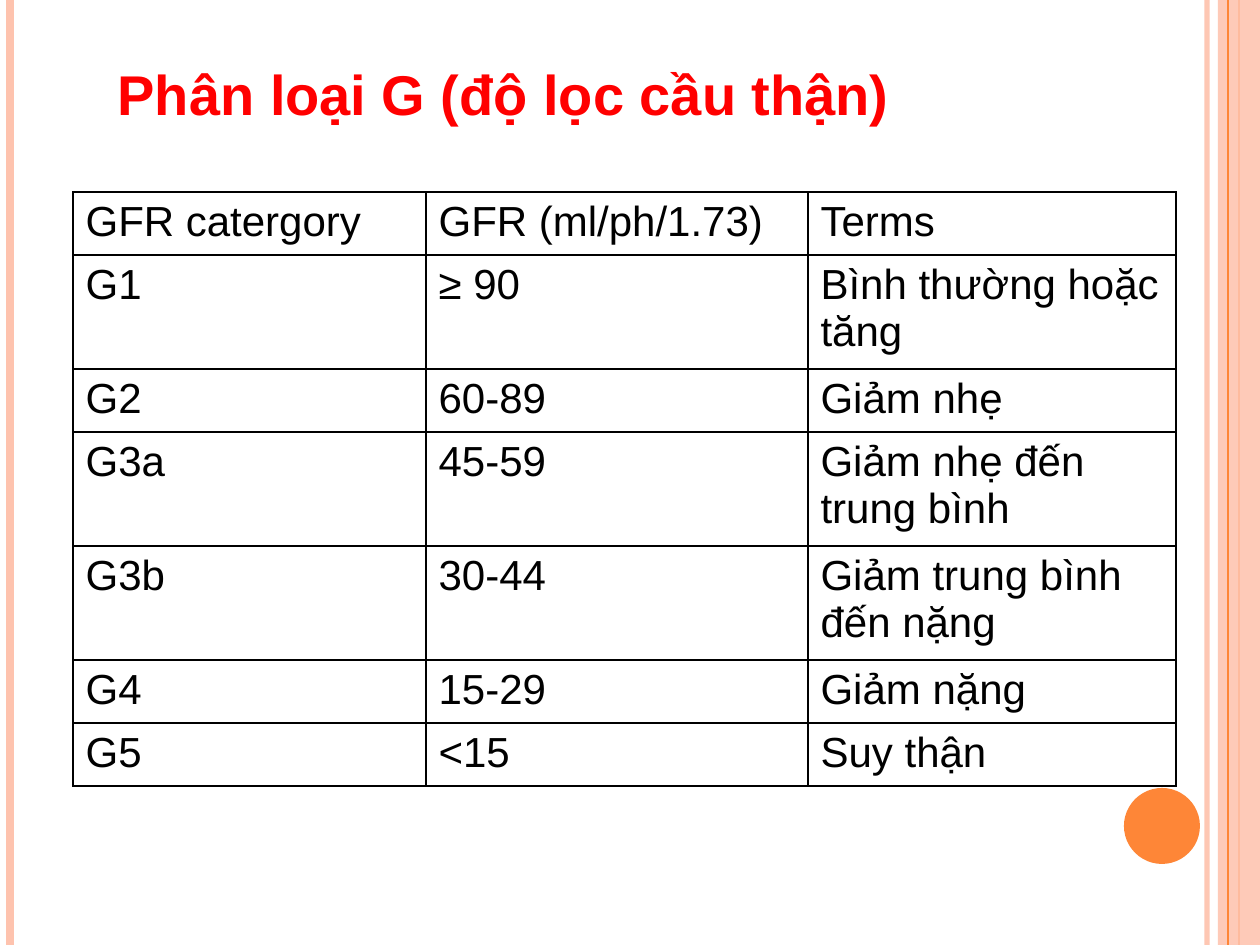
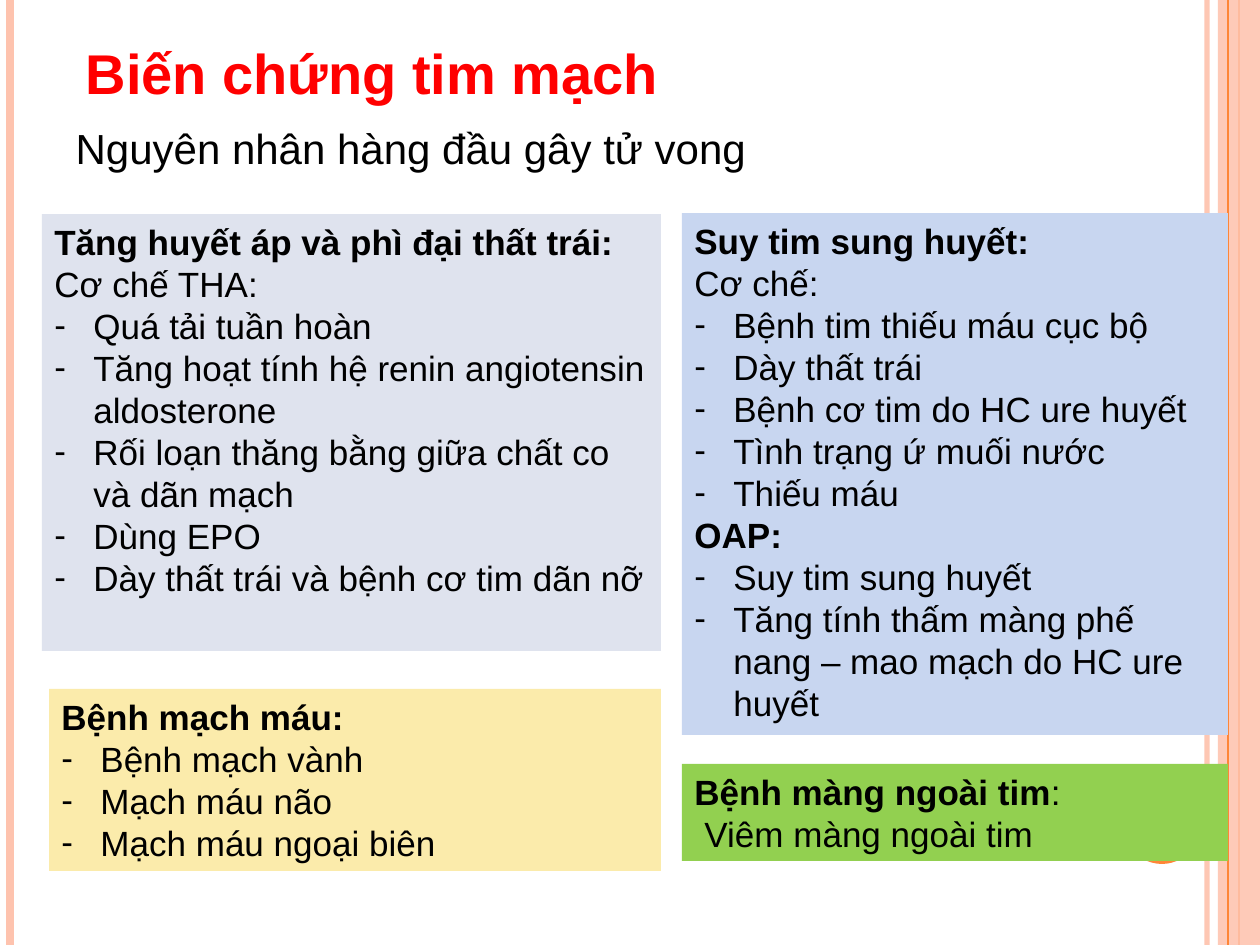
from lxml import etree
from pptx import Presentation
from pptx.dml.color import RGBColor
from pptx.enum.shapes import MSO_CONNECTOR as Connector, MSO_SHAPE as Preset
from pptx.enum.text import MSO_ANCHOR as Anchor, MSO_AUTO_SIZE as AutoSize, PP_ALIGN as Align
from pptx.oxml.ns import qn
from pptx.util import Emu, Pt

PX_PER_INCH = 126
WIDTH, HEIGHT = 1260, 945
TITLE_ONLY, TITLE_AND_BODY = 5, 1
PINK, ORANGE, RED, BLACK = "FEC3AE", "FE8637", "FF0000", "000000"


def px(length):
    return Emu(round(length * 914400 / PX_PER_INCH))


def color(value):
    return RGBColor.from_string(value)


def child(parent, tag, **attributes):
    return etree.SubElement(parent, qn(tag), attributes)


def set_opacity(shape, percent):
    for node in shape.element.spPr.iter(qn("a:srgbClr")):
        child(node, "a:alpha", val=str(percent * 1000))


class Deck:
    """Holds the shared style and the slide being built."""

    styles = {
        "title": {"size": Pt(32), "bold": True, "name": "Arial"},
        "lead": {"size": Pt(24), "bold": False, "name": "Arial"},
        "heading": {"size": Pt(20), "bold": True, "name": "Arial"},
        "text": {"size": Pt(20), "bold": False, "name": "Arial"},
    }

    def __init__(self):
        self.presentation = Presentation()
        self.presentation.slide_width = px(WIDTH)
        self.presentation.slide_height = px(HEIGHT)
        self.slide = None

    def new_slide(self, layout):
        self.slide = self.presentation.slides.add_slide(
            self.presentation.slide_layouts[layout])
        self.frame()

    # Shared bands, rules and disc
    def frame(self):
        self.rule(1207, PINK, 3, 93)
        self.rule(10, PINK, 4.5)
        self.rule(1239, ORANGE, 1.5)
        set_opacity(self.shape(Preset.RECTANGLE, (1218, 0, 42, HEIGHT), PINK), 87)
        self.rule(1228, ORANGE, 0.75)
        self.shape(Preset.OVAL, (1124, 788, 76, 76), ORANGE)

    def rule(self, x, line_color, weight, opacity=100):
        rule = self.slide.shapes.add_connector(
            Connector.STRAIGHT, px(x), 0, px(x), px(HEIGHT))
        rule.line.color.rgb = color(line_color)
        rule.line.width = Pt(weight)
        child(rule.element.spPr, "a:effectLst")
        if opacity < 100:
            set_opacity(rule, opacity)

    def shape(self, preset, place, fill):
        shape = self.slide.shapes.add_shape(preset, *map(px, place))
        shape.shadow.inherit = False
        shape.fill.solid()
        shape.fill.fore_color.rgb = color(fill)
        shape.line.fill.background()
        return shape

    def run(self, paragraph, text, style, font_color=BLACK):
        run = paragraph.add_run()
        run.text = text
        for name, value in self.styles[style].items():
            setattr(run.font, name, value)
        run.font.color.rgb = color(font_color)

    def placeholder(self, index, place, text, style, font_color=BLACK):
        holder = self.slide.placeholders[index]
        for name, value in zip(("left", "top", "width", "height"), place):
            setattr(holder, name, px(value))
        frame = holder.text_frame
        frame.word_wrap = True
        frame.auto_size = AutoSize.NONE
        frame.vertical_anchor = Anchor.TOP
        paragraph = frame.paragraphs[0]
        paragraph.alignment = Align.LEFT
        paragraph.space_before = Pt(0)
        self.indent(paragraph, 0, 0)
        child(paragraph.element_properties if hasattr(paragraph, "element_properties")
              else paragraph._p.get_or_add_pPr(), "a:buNone")
        self.run(paragraph, text, style, font_color)

    def title(self, text, place):
        self.placeholder(0, place, text, "title", RED)

    def indent(self, paragraph, margin, first):
        properties = paragraph._p.get_or_add_pPr()
        properties.set("marL", str(px(margin)))
        properties.set("indent", str(px(first)))
        return properties

    # A panel line is (kind, text) or (kind, text, plain ending)
    def panel(self, place, fill, lines):
        frame = self.shape(Preset.RECTANGLE, place, fill).text_frame
        frame.word_wrap = True
        frame.auto_size = AutoSize.NONE
        frame.vertical_anchor = Anchor.TOP
        for number, (kind, text, *ending) in enumerate(lines):
            paragraph = frame.add_paragraph() if number else frame.paragraphs[0]
            paragraph.alignment = Align.LEFT
            paragraph.line_spacing = Pt(24)
            if kind == "bullet":
                properties = self.indent(paragraph, 39, -39)
                child(properties, "a:buFont", typeface="Arial")
                child(properties, "a:buChar", char="-")
            elif kind == "inset":
                self.indent(paragraph, 10, 0)
            self.run(paragraph, text, "heading" if kind == "heading" else "text")
            for part in ending:
                self.run(paragraph, part, "text")

    def table(self, left, top, widths, heights, rows):
        table = self.slide.shapes.add_table(
            len(rows), len(widths), px(left), px(top),
            px(sum(widths)), px(sum(heights))).table
        table.first_row = table.horz_banding = False
        for column, width in zip(table.columns, widths):
            column.width = px(width)
        for row, height, texts in zip(table.rows, heights, rows):
            row.height = px(height)
            for cell, text in zip(row.cells, texts):
                self.run(cell.text_frame.paragraphs[0], text, "lead")
                self.borders(cell)
                cell.fill.background()

    def borders(self, cell):
        properties = cell._tc.get_or_add_tcPr()
        for side in "LRTB":
            line = child(properties, f"a:ln{side}", w=str(Pt(1)))
            child(child(line, "a:solidFill"), "a:srgbClr", val=BLACK)


def gfr_slide(deck):
    deck.new_slide(TITLE_ONLY)
    deck.title("Phân loại G (độ lọc cầu thận)", (105, 53, 945, 81))
    rows = [
        ("GFR catergory", "GFR (ml/ph/1.73)", "Terms"),
        ("G1", "≥ 90", "Bình thường hoặc tăng"),
        ("G2", "60-89", "Giảm nhẹ"),
        ("G3a", "45-59", "Giảm nhẹ đến trung bình"),
        ("G3b", "30-44", "Giảm trung bình đến nặng"),
        ("G4", "15-29", "Giảm nặng"),
        ("G5", "<15", "Suy thận"),
    ]
    # Terms that wrap need a row of two lines
    heights = [114 if len(term) > 20 else 63 for *_, term in rows]
    deck.table(73, 192, (353, 382, 368), heights, rows)


def heart_slide(deck):
    deck.new_slide(TITLE_AND_BODY)
    deck.title("Biến chứng tim mạch", (73, 32, 1018, 81))
    deck.placeholder(1, (63, 116, 907, 63), "Nguyên nhân hàng đầu gây tử vong", "lead")

    # Left column
    deck.panel((42, 214, 619, 437), "DFE3EE", [
        ("heading", "Tăng huyết áp và phì đại thất trái:"),
        ("text", "Cơ chế THA:"),
        ("bullet", "Quá tải tuần hoàn"),
        ("bullet", "Tăng hoạt tính hệ renin angiotensin aldosterone"),
        ("bullet", "Rối loạn thăng bằng giữa chất co và dãn mạch"),
        ("bullet", "Dùng EPO"),
        ("bullet", "Dày thất trái và bệnh cơ tim dãn nỡ"),
    ])
    deck.panel((49, 689, 612, 182), "FBEBAB", [
        ("heading", "Bệnh mạch máu:"),
        ("bullet", "Bệnh mạch vành"),
        ("bullet", "Mạch máu não"),
        ("bullet", "Mạch máu ngoại biên"),
    ])

    # Right column
    deck.panel((682, 213, 546, 522), "C8D6F0", [
        ("heading", "Suy tim sung huyết:"),
        ("text", "Cơ chế:"),
        ("bullet", "Bệnh tim thiếu máu cục bộ"),
        ("bullet", "Dày thất trái"),
        ("bullet", "Bệnh cơ tim do HC ure huyết"),
        ("bullet", "Tình trạng ứ muối nước"),
        ("bullet", "Thiếu máu"),
        ("heading", "OAP:"),
        ("bullet", "Suy tim sung huyết"),
        ("bullet", "Tăng tính thấm màng phế nang – mao mạch do HC ure huyết"),
    ])
    deck.panel((682, 764, 546, 97), "92D050", [
        ("heading", "Bệnh màng ngoài tim", ":"),
        ("inset", "Viêm màng ngoài tim"),
    ])


def main():
    deck = Deck()
    gfr_slide(deck)
    heart_slide(deck)
    deck.presentation.save("out.pptx")


if __name__ == "__main__":
    main()
